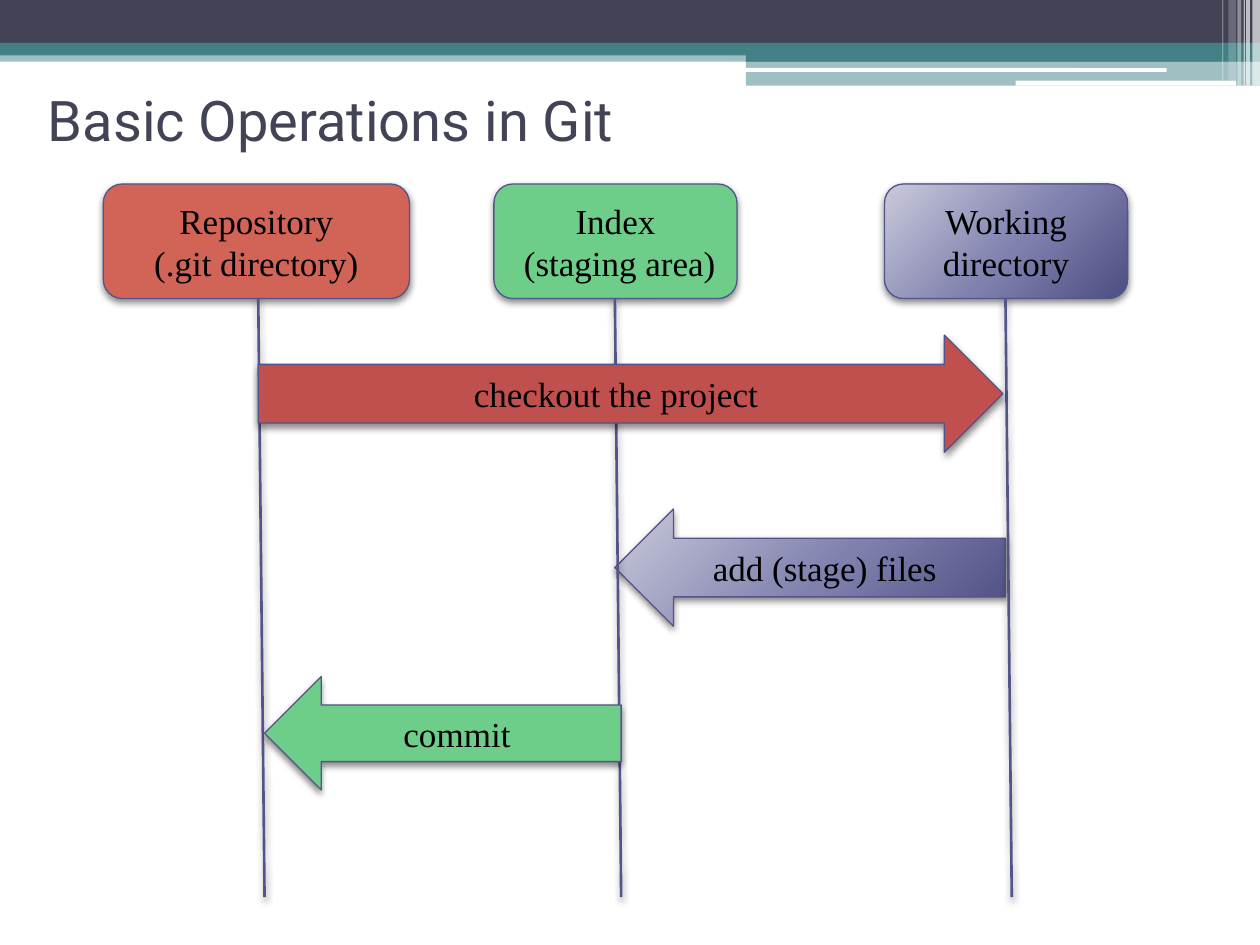
from dataclasses import dataclass

from lxml import etree
from pptx import Presentation
from pptx.dml.color import RGBColor
from pptx.enum.shapes import MSO_CONNECTOR as Connector, MSO_SHAPE as Preset
from pptx.enum.text import MSO_ANCHOR as Anchor, PP_ALIGN as Align
from pptx.oxml import parse_xml
from pptx.oxml.ns import nsdecls, qn
from pptx.util import Inches, Pt


@dataclass(frozen=True)
class Theme:
    """Colours, fonts and type sizes of the slide."""
    dark: str = "424456"
    teal: str = "438086"
    white: str = "FFFFFF"
    black: str = "000000"
    outline: str = "53548A"
    repository: str = "D26457"
    checkout: str = "C0504D"
    index: str = "6ECD88"
    working: tuple = ((0, "C9C9DA"), (55, "7F80AE"), (100, "4D4E81"))
    title_font: str = "Roboto"
    label_font: str = "Times New Roman"
    title_size: int = 32
    label_size: int = 20


THEME = Theme()

# left, top, width, height, preset, colour, opacity in percent
HEADER_BANDS = (
    (0, 0.4, 10, 0.09, Preset.RECTANGLE, THEME.teal, 50),
    (0, 0, 10, 0.34, Preset.RECTANGLE, THEME.dark, 100),
    (0, 0.34, 10, 0.1, Preset.RECTANGLE, THEME.teal, 100),
    (5.92, 0.39, 4.08, 0.1, Preset.RECTANGLE, THEME.teal, 100),
    (5.92, 0.48, 4.08, 0.2, Preset.RECTANGLE, THEME.teal, 50),
    (5.91, 0.54, 3.35, 0.03, Preset.ROUNDED_RECTANGLE, THEME.white, 100),
    (8.06, 0.64, 1.75, 0.04, Preset.ROUNDED_RECTANGLE, THEME.white, 100),
)
# left, width, height, opacity in percent
HEADER_STRIPES = (
    (9.94, 0.06, 0.68, 65), (9.89, 0.03, 0.68, 65), (9.87, 0.01, 0.68, 60),
    (9.82, 0.03, 0.68, 40), (9.75, 0.06, 0.64, 20), (9.7, 0.01, 0.64, 30),
)
BOX_TOP, BOX_HEIGHT = 1.46, 0.91
LIFELINE_END, LIFELINE_DRIFT = 7.12, 0.05


def style_font(font, **values):
    """Apply font values, with the colour given as hex."""
    font.color.rgb = RGBColor.from_string(values.pop("color"))
    for name, value in values.items():
        setattr(font, name, value)


def add_shadow(shape, blur, opacity):
    """Give a shape or connector a soft shadow straight below it."""
    shape._element.spPr.append(parse_xml(
        f'<a:effectLst {nsdecls("a")}><a:outerShdw blurRad="{Pt(blur)}" '
        f'dist="{Pt(2)}" dir="5400000" rotWithShape="0">'
        f'<a:srgbClr val="{THEME.black}"><a:alpha val="{opacity * 1000}"/>'
        '</a:srgbClr></a:outerShdw></a:effectLst>'))


def fill_solid(shape, color, opacity=100):
    """Fill a shape with one colour, see-through if opacity is below 100."""
    shape.fill.solid()
    shape.fill.fore_color.rgb = RGBColor.from_string(color)
    if opacity < 100:
        swatch = shape._element.spPr.find(".//" + qn("a:srgbClr"))
        etree.SubElement(swatch, qn("a:alpha"), val=str(opacity * 1000))


def fill_radial(shape, stops):
    """Fill a shape with a circular gradient centred beyond its top left."""
    shape.fill.solid()
    marks = "".join(f'<a:gs pos="{place * 1000}"><a:srgbClr val="{color}"/></a:gs>'
                    for place, color in stops)
    gradient = parse_xml(
        f'<a:gradFill {nsdecls("a")} rotWithShape="1"><a:gsLst>{marks}</a:gsLst>'
        '<a:path path="circle"><a:fillToRect l="-40000" t="-90000" '
        'r="140000" b="190000"/></a:path></a:gradFill>')
    properties = shape._element.spPr
    properties.replace(properties.find(qn("a:solidFill")), gradient)


def add_band(page, left, top, width, height, preset, color, opacity):
    """Add one flat piece of the header decoration."""
    band = page.shapes.add_shape(preset, *map(Inches, (left, top, width, height)))
    band.shadow.inherit = False
    band.line.fill.background()
    fill_solid(band, color, opacity)


def add_label_shape(page, preset, place, fill, label):
    """Add an outlined, shadowed shape with a centred label."""
    shape = page.shapes.add_shape(preset, *map(Inches, place))
    if isinstance(fill, str):
        fill_solid(shape, fill)
    else:
        fill_radial(shape, fill)
    shape.line.color.rgb = RGBColor.from_string(THEME.outline)
    shape.line.width = Pt(0.75)
    add_shadow(shape, 4, 45)
    frame = shape.text_frame
    frame.word_wrap = True
    frame.vertical_anchor = Anchor.MIDDLE
    para = frame.paragraphs[0]
    para.alignment = Align.CENTER
    para.text = label
    for span in para.runs:
        style_font(span.font, name=THEME.label_font,
                   size=Pt(THEME.label_size), color=THEME.black)


def add_lifeline(page, left):
    """Add the slightly slanted line that hangs from a box."""
    ends = (left, BOX_TOP + BOX_HEIGHT, left + LIFELINE_DRIFT, LIFELINE_END)
    line = page.shapes.add_connector(Connector.STRAIGHT, *map(Inches, ends))
    line.line.color.rgb = RGBColor.from_string(THEME.outline)
    line.line.width = Pt(1.5)
    add_shadow(line, 4.1, 40)


def set_title(page, text):
    """Place and format the title."""
    title = page.shapes.title
    place = {"left": 0.28, "top": 0.36, "width": 9, "height": 1.17}
    for name, value in place.items():
        setattr(title, name, Inches(value))
    frame = title.text_frame
    frame.word_wrap = True
    frame.vertical_anchor = Anchor.MIDDLE
    para = frame.paragraphs[0]
    para.alignment = Align.LEFT
    span = para.add_run()
    span.text = text
    style_font(span.font, name=THEME.title_font,
               size=Pt(THEME.title_size), color=THEME.dark)


def main():
    """Build the slide and save it."""
    deck = Presentation()
    deck.slide_width, deck.slide_height = Inches(10), Inches(7.5)
    page = deck.slides.add_slide(deck.slide_layouts[5])

    for band in HEADER_BANDS:
        add_band(page, *band)
    for left, width, height, opacity in HEADER_STRIPES:
        add_band(page, left, 0, width, height, Preset.RECTANGLE, THEME.white, opacity)
    set_title(page, "Basic Operations in Git")

    add_label_shape(page, Preset.LEFT_ARROW, (4.88, 4.04, 3.1, 0.93),
                    THEME.working, "add (stage) files")
    for left, width, fill, label in (
            (7.02, 1.93, THEME.working, "Working directory"),
            (0.82, 2.43, THEME.repository, "Repository\v(.git directory)"),
            (3.92, 1.93, THEME.index, "Index\v (staging area)")):
        add_label_shape(page, Preset.ROUNDED_RECTANGLE,
                        (left, BOX_TOP, width, BOX_HEIGHT), fill, label)
    for left in (2.05, 4.88, 7.98):
        add_lifeline(page, left)
    add_label_shape(page, Preset.RIGHT_ARROW, (2.05, 2.66, 5.91, 0.93),
                    THEME.checkout, "checkout the project")
    add_label_shape(page, Preset.LEFT_ARROW, (2.1, 5.37, 2.83, 0.9),
                    THEME.index, "commit")

    deck.save("out.pptx")


main()
